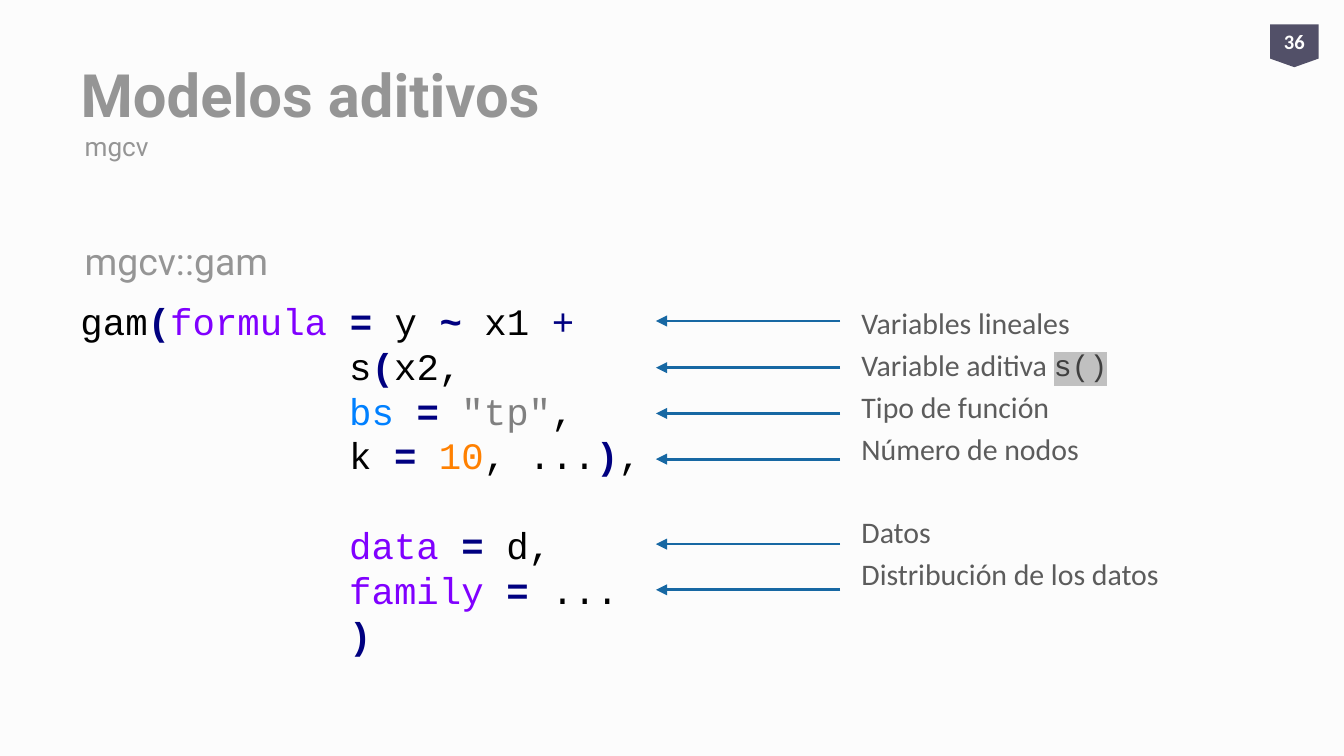
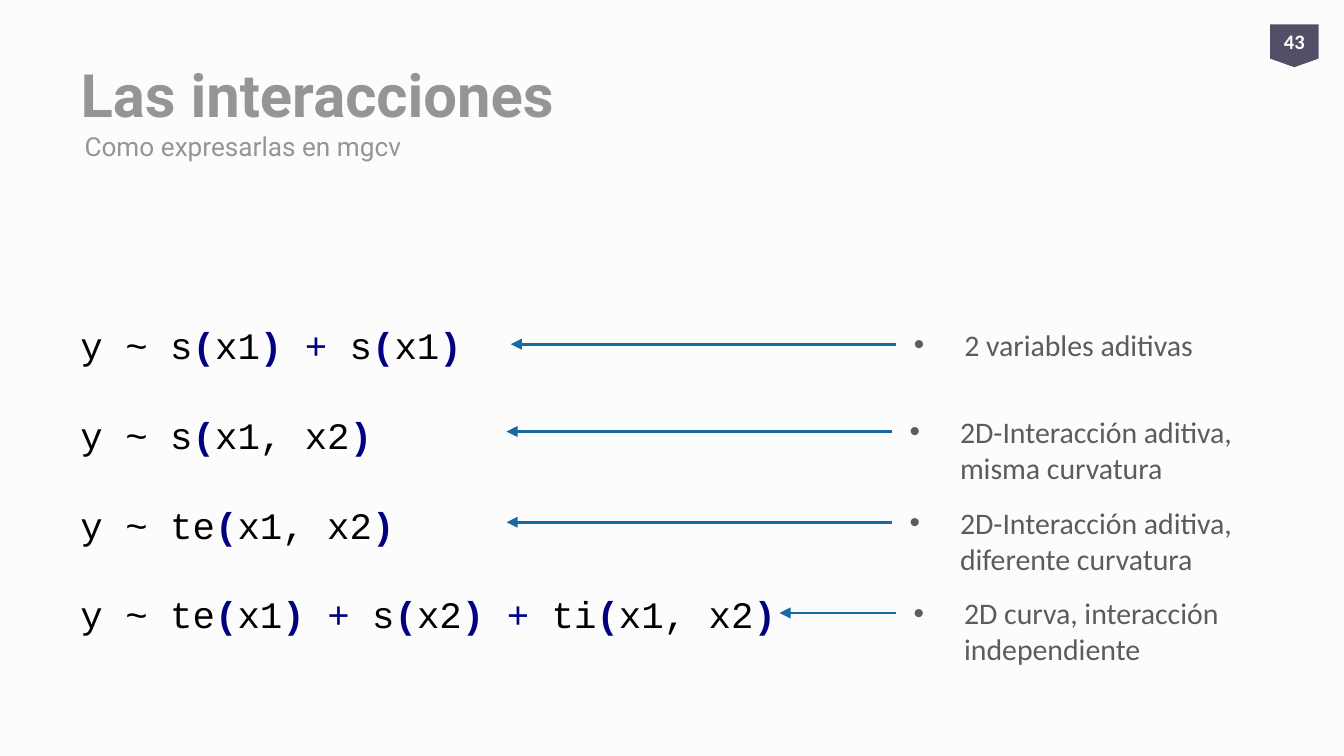
from itertools import groupby

from lxml.etree import SubElement
from pptx import Presentation
from pptx.dml.color import RGBColor
from pptx.enum.shapes import MSO_CONNECTOR as Connector, MSO_SHAPE as Shape
from pptx.enum.text import MSO_ANCHOR as Anchor, MSO_AUTO_SIZE as AutoSize, PP_ALIGN as Align
from pptx.oxml.ns import qn
from pptx.util import Pt

PAPER, GREY, TEXT, PLUM, BLUE = "FCFCFC", "959595", "5C5C5C", "525068", "1768A3"
BLACK, NAVY, VIOLET, AZURE, ORANGE, STRING = "000000", "000080", "8000FF", "0080FF", "FF8000", "808080"
HEADING, BODY, MONO = "Roboto", "Calibri", "Courier New"
CODE_LINE = 24

rgb = RGBColor.from_string


def write(paragraph, text, font, size, color, bold=False):
    run = paragraph.add_run()
    run.text = text
    run.font.name = font
    run.font.size = Pt(size)
    run.font.bold = bold
    run.font.color.rgb = rgb(color)
    return run


def add_arrow(slide, start, end, y):
    arrow = slide.shapes.add_connector(Connector.STRAIGHT, Pt(start), Pt(y), Pt(end), Pt(y))
    arrow.line.color.rgb = rgb(BLUE)
    arrow.line.width = Pt(1.5)
    SubElement(arrow.line._get_or_add_ln(), qn("a:tailEnd"), type="triangle")
    SubElement(arrow._element.spPr, qn("a:effectLst"))


prs = Presentation()
prs.slide_width, prs.slide_height = Pt(720), Pt(405)
background = prs.slide_master.background.fill
background.solid()
background.fore_color.rgb = rgb(PAPER)

for heading, number in [("Modelos aditivos", "36"), ("Las interacciones", "43")]:
    slide = prs.slides.add_slide(prs.slide_layouts[1])
    title = slide.shapes.title
    title.left, title.top, title.width, title.height = Pt(36), Pt(16.5), Pt(528), Pt(67.5)
    title.text_frame.auto_size = AutoSize.NONE
    title.text_frame.vertical_anchor = Anchor.MIDDLE
    title.text_frame.paragraphs[0].alignment = Align.LEFT
    write(title.text_frame.paragraphs[0], heading, HEADING, 32, GREY, True)

    badge = slide.shapes.add_shape(
        Shape.FLOWCHART_OFFPAGE_CONNECTOR, Pt(680.4), Pt(13), Pt(26), Pt(23))
    badge.shadow.inherit = False
    badge.fill.solid()
    badge.fill.fore_color.rgb = rgb(PLUM)
    badge.line.fill.background()
    page = badge.text_frame
    page.margin_left = page.margin_right = page.margin_top = page.margin_bottom = 0
    page.vertical_anchor = Anchor.MIDDLE
    page.paragraphs[0].alignment = Align.CENTER
    write(page.paragraphs[0], number, BODY, 11, "FFFFFF", True)

additive, interactions = prs.slides

for slide, label, top, height, size in [
    (additive, "mgcv", 64, 29, 14),
    (interactions, "Como expresarlas en mgcv", 64, 29, 14),
    (additive, "mgcv::gam", 119, 41.5, 20),
]:
    subtitle = slide.shapes.add_textbox(Pt(38.2), Pt(top), Pt(384), Pt(height)).text_frame
    subtitle.word_wrap = True
    subtitle.vertical_anchor = Anchor.MIDDLE
    write(subtitle.paragraphs[0], label, HEADING, size, GREY)

equals = ("= ", NAVY, True)
gam_call = [
    (0, 0, [("gam", BLACK, False), ("(", NAVY, True), ("formula ", VIOLET, False), equals,
            ("y ", BLACK, False), ("~", NAVY, True), (" x1 ", BLACK, False), ("+", NAVY, False)]),
    (144, 0, [("s", BLACK, False), ("(", NAVY, True), ("x2,", BLACK, False)]),
    (144, 0, [("bs ", AZURE, False), equals, ("\"tp\"", STRING, False), (",", BLACK, False)]),
    (144, 0, [("k ", BLACK, False), equals, ("10", ORANGE, False), (", ...", BLACK, False),
              (")", NAVY, True), (",", BLACK, False)]),
    (144, CODE_LINE, [("data ", VIOLET, False), equals, ("d,", BLACK, False)]),
    (144, 0, [("family ", VIOLET, False), equals, ("...", BLACK, False)]),
    (144, 0, [(")", NAVY, True)]),
]

formulas = []
for formula in ["y ~ s(x1) + s(x1)", "y ~ s(x1, x2)", "y ~ te(x1, x2)",
                "y ~ te(x1) + s(x2) + ti(x1, x2)"]:
    tokens = groupby(formula, lambda c: (NAVY if c in "()+" else BLACK, c in "()"))
    runs = [("".join(chars), color, bold) for (color, bold), chars in tokens]
    formulas.append((0, CODE_LINE if formulas else 0, runs))

for slide, top, width, height, lines in [
    (additive, 156.2, 330.5, 201, gam_call),
    (interactions, 169.2, 400, 177, formulas),
]:
    code = slide.shapes.add_textbox(Pt(36), Pt(top), Pt(width), Pt(height)).text_frame
    code.word_wrap = True
    for i, (indent, before, runs) in enumerate(lines):
        line = code.add_paragraph() if i else code.paragraphs[0]
        line.line_spacing = Pt(CODE_LINE)
        line.space_before = Pt(before)
        line._p.get_or_add_pPr().set("marL", str(Pt(indent)))
        for text, color, bold in runs:
            write(line, text, MONO, 20, color, bold)

for y in [172, 197, 221.5, 246, 291.5, 316]:
    add_arrow(additive, 450, 351.4, y)

meanings = additive.placeholders[1]
meanings.left, meanings.top, meanings.width, meanings.height = Pt(454.3), Pt(159.8), Pt(223), Pt(191)
meanings.text_frame.auto_size = AutoSize.NONE
for i, (meaning, before) in enumerate([
    ("Variables lineales", 3.2), ("Variable aditiva ", 3.2), ("Tipo de función", 3.2),
    ("Número de nodos", 3.2), ("Datos", 25.5), ("Distribución de los datos", 3.2),
]):
    line = meanings.text_frame.add_paragraph() if i else meanings.text_frame.paragraphs[0]
    line.space_before = Pt(before)
    properties = line._p.get_or_add_pPr()
    properties.set("marL", "0")
    properties.set("indent", "0")
    SubElement(properties, qn("a:buNone"))
    write(line, meaning, BODY, 16, TEXT)
    if meaning == "Variable aditiva ":
        smooth_term = write(line, "s()", MONO, 16, "3F3F3F")
        highlight = SubElement(smooth_term._r.rPr, qn("a:highlight"))
        SubElement(highlight, qn("a:srgbClr"), val="C0C0C0")
        smooth_term._r.rPr.find(qn("a:solidFill")).addnext(highlight)

for i, (explanation, left, tip, y, height) in enumerate([
    ("2 variables aditivas", 482.4, 273.6, 184.4, 31),
    ("2D-Interacción aditiva, misma curvatura", 480.2, 271.4, 231.2, 47.5),
    ("2D-Interacción aditiva, diferente curvatura", 480.2, 271.4, 279.8, 47.5),
    ("2D curva, interacción independiente", 482.4, 417.6, 328.4, 47.5),
]):
    add_arrow(interactions, left - 2.2, tip, y)
    place = Pt(left), Pt(y - 13.1), Pt(223), Pt(height)
    if i:
        note = interactions.shapes.add_textbox(*place)
    else:
        note = interactions.placeholders[1]
        note.left, note.top, note.width, note.height = place
    note.text_frame.word_wrap = True
    note.text_frame.auto_size = AutoSize.NONE
    line = note.text_frame.paragraphs[0]
    line.space_before = Pt(3.2)
    properties = line._p.get_or_add_pPr()
    properties.set("marL", str(Pt(27)))
    properties.set("indent", str(-Pt(27)))
    SubElement(properties, qn("a:buFont"), typeface="Arial")
    SubElement(properties, qn("a:buChar"), char="•")
    write(line, explanation, BODY, 16, TEXT)

prs.save("out.pptx")
